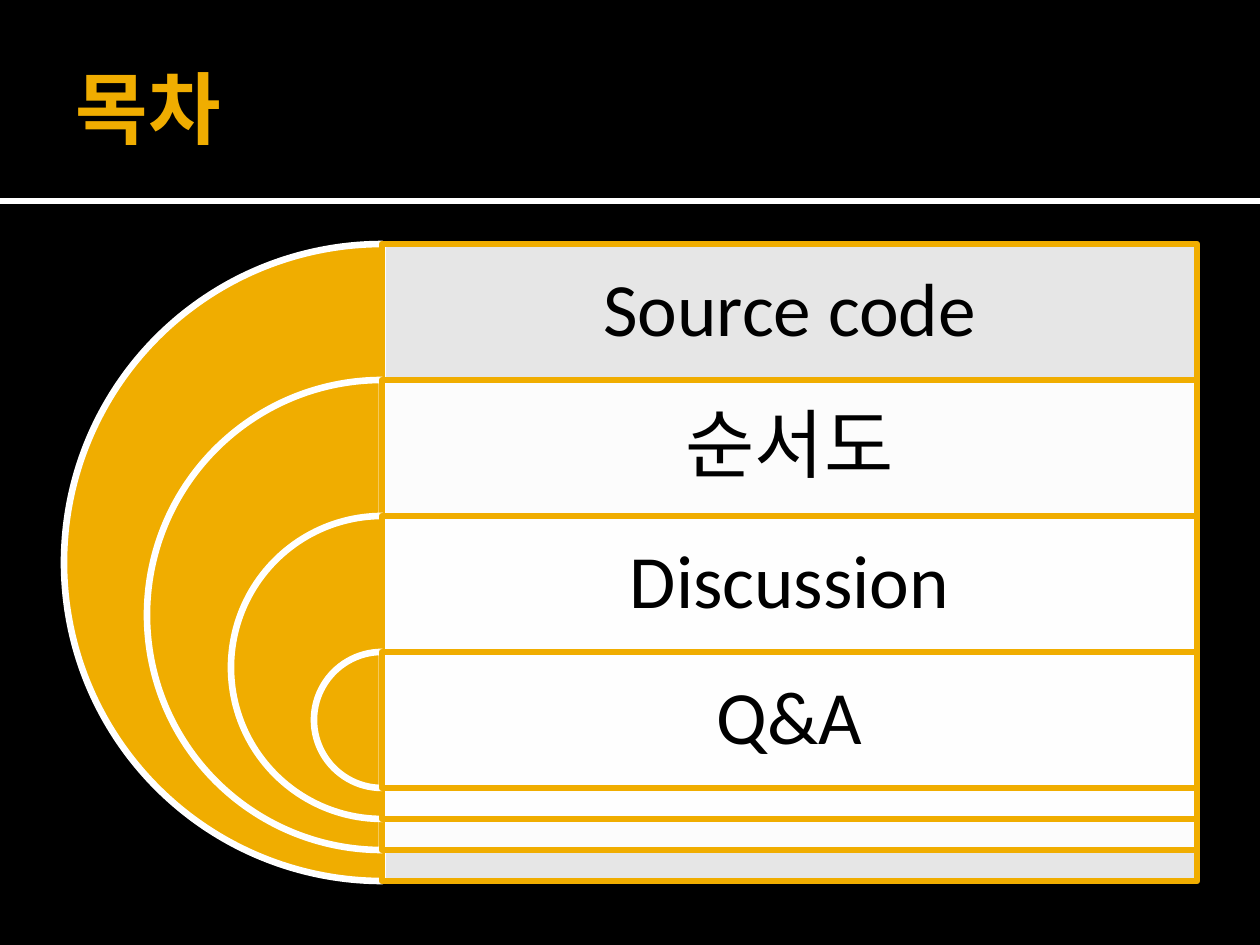
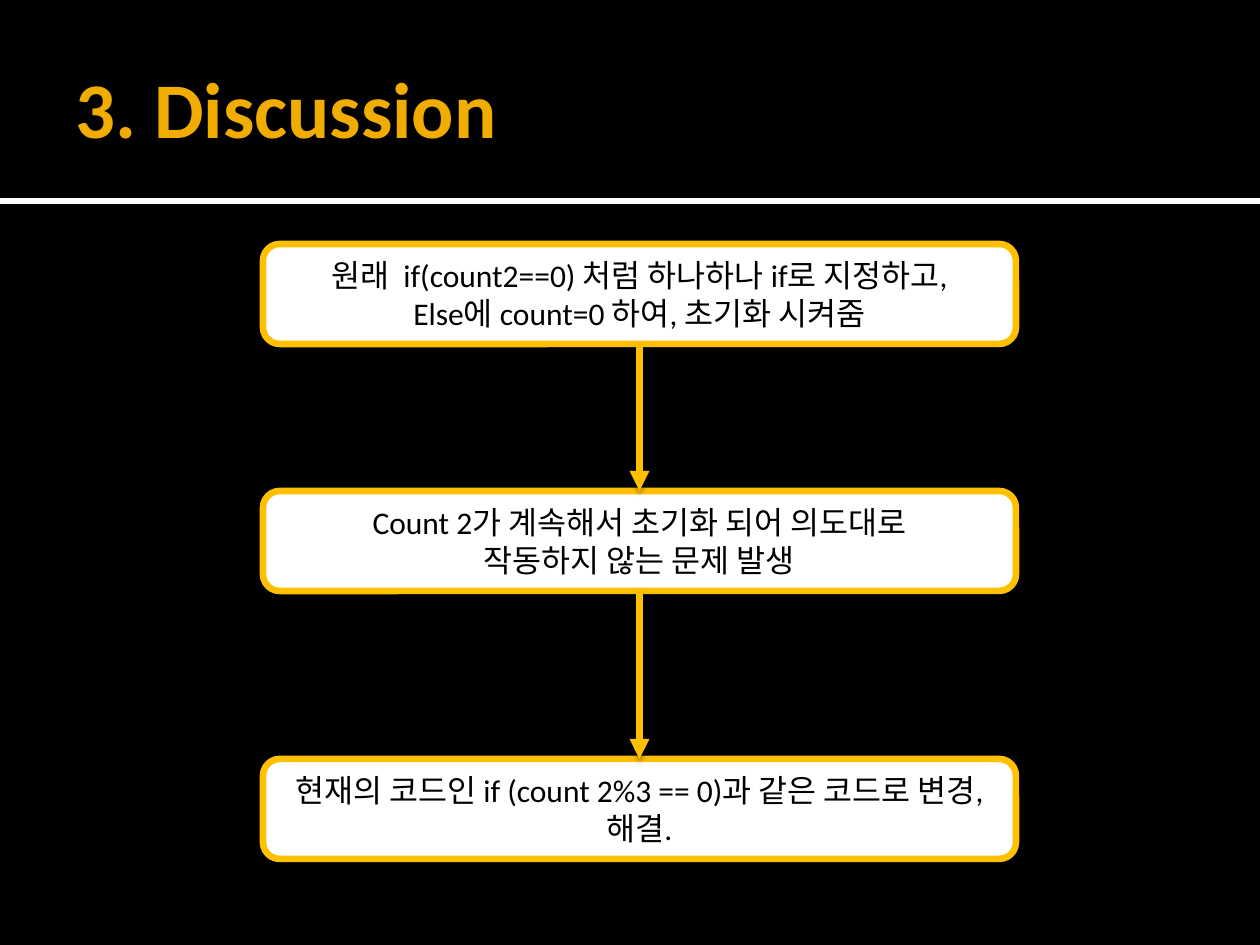
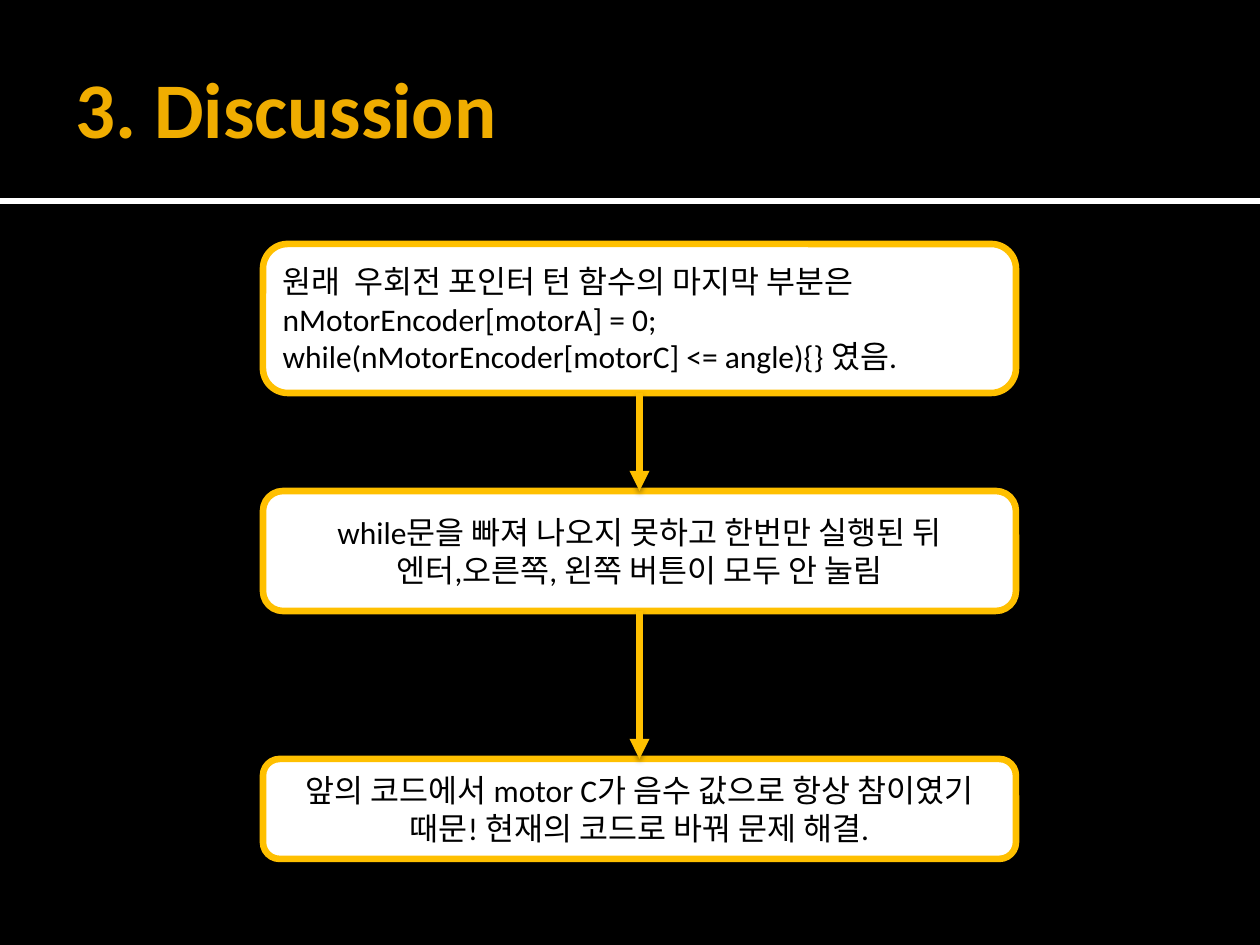
from dataclasses import dataclass

import lxml.etree
import pptx
import pptx.dml.color
import pptx.enum.shapes
import pptx.enum.text
import pptx.oxml.ns
import pptx.presentation
import pptx.shapes.autoshape
import pptx.slide
import pptx.text.text
import pptx.util

SHAPE = pptx.enum.shapes.MSO_SHAPE
ALIGN = pptx.enum.text.PP_ALIGN
TITLE_ONLY_LAYOUT = 5
PX_PER_INCH = 126


@dataclass(frozen=True)
class Theme:
    background: str = "000000"
    rule: str = "FFFFFF"
    panel: str = "FFFFFF"
    accent: str = "F0AD00"
    flow: str = "FFC000"
    ink: str = "000000"
    font: str = "Calibri"
    title_size: int = 45
    agenda_size: int = 43
    flow_size: int = 18
    outline: float = 3.78
    arrow: float = 3.82


THEME = Theme()


@dataclass(frozen=True)
class Box:
    left: int
    top: int
    width: int
    height: int

    def emu(self) -> list[pptx.util.Emu]:
        return [px(n) for n in (self.left, self.top, self.width, self.height)]


@dataclass(frozen=True)
class Step:
    top: int
    height: int
    lines: tuple[str, ...]
    alignment: ALIGN = ALIGN.CENTER


SLIDE = Box(0, 0, 1260, 945)
HEADER = Box(0, 0, 1260, 198)
HEADER_RULE = Box(0, 198, 1260, 6)
TITLE = Box(63, 21, 1134, 173)

AGENDA = ("Source code", "순서도", "Discussion", "Q&A")
AGENDA_TOP = 244
AGENDA_ROW = 136
RING_GROWTH = 167
PANEL_LEFT = 382
PANEL_WIDTH = 815
LABEL_INSET = 23

STEP_LEFT = 263
STEP_WIDTH = 753
STEP_TOPS = (244, 491, 759)

DISCUSSIONS = (
    (
        Step(STEP_TOPS[0], 100, (
            "원래  if(count2==0) 처럼 하나하나 if로 지정하고,",
            "Else에 count=0 하여, 초기화 시켜줌",
        )),
        Step(STEP_TOPS[1], 100, (
            "Count 2가 계속해서 초기화 되어 의도대로",
            "작동하지 않는 문제 발생",
        )),
        Step(STEP_TOPS[2], 100, (
            "현재의 코드인 if (count 2%3 == 0)과 같은 코드로 변경,",
            "해결.",
        )),
    ),
    (
        Step(STEP_TOPS[0], 149, (
            "원래  우회전 포인터 턴 함수의 마지막 부분은",
            "nMotorEncoder[motorA] = 0;",
            "while(nMotorEncoder[motorC] <= angle){} 였음.",
        ), ALIGN.LEFT),
        Step(STEP_TOPS[1], 120, (
            "while문을 빠져 나오지 못하고 한번만 실행된 뒤",
            "엔터,오른쪽, 왼쪽 버튼이 모두 안 눌림",
        )),
        Step(STEP_TOPS[2], 100, (
            "앞의 코드에서 motor C가 음수 값으로 항상 참이였기 때문! "
            "현재의 코드로 바꿔 문제 해결.",
        )),
    ),
)


def px(length: int) -> pptx.util.Emu:
    return pptx.util.Emu(round(length * pptx.util.Inches(1) / PX_PER_INCH))


def rgb(value: str) -> pptx.dml.color.RGBColor:
    return pptx.dml.color.RGBColor.from_string(value)


def add_child(parent: lxml.etree._Element, tag: str, **attributes: str) -> lxml.etree._Element:
    return lxml.etree.SubElement(parent, pptx.oxml.ns.qn(tag), attributes)


def add_filled_shape(
    slide: pptx.slide.Slide, kind: SHAPE, box: Box, fill: str, line: str | None = None
) -> pptx.shapes.autoshape.Shape:
    shape = slide.shapes.add_shape(kind, *box.emu())
    shape.shadow.inherit = False
    shape.fill.solid()
    shape.fill.fore_color.rgb = rgb(fill)
    if line is None:
        shape.line.fill.background()
    else:
        shape.line.color.rgb = rgb(line)
        shape.line.width = pptx.util.Pt(THEME.outline)
    return shape


def write_lines(
    frame: pptx.text.text.TextFrame, lines: tuple[str, ...], size: int, color: str,
    alignment: ALIGN, bold: bool = False, line_spacing: float = 1.0,
) -> None:
    frame.word_wrap = True
    frame.auto_size = pptx.enum.text.MSO_AUTO_SIZE.NONE
    frame.vertical_anchor = pptx.enum.text.MSO_ANCHOR.MIDDLE
    for index, line in enumerate(lines):
        paragraph = frame.add_paragraph() if index else frame.paragraphs[0]
        paragraph.alignment = alignment
        paragraph.line_spacing = line_spacing
        run = paragraph.add_run()
        run.text = line
        run.font.name = THEME.font
        run.font.size = pptx.util.Pt(size)
        run.font.bold = bold
        run.font.color.rgb = rgb(color)


def add_titled_slide(presentation: pptx.presentation.Presentation, text: str) -> pptx.slide.Slide:
    slide = presentation.slides.add_slide(presentation.slide_layouts[TITLE_ONLY_LAYOUT])
    title = slide.shapes.title
    title.left, title.top, title.width, title.height = TITLE.emu()
    write_lines(title.text_frame, (text,), THEME.title_size, THEME.accent, ALIGN.LEFT, bold=True)
    return slide


def style_master(presentation: pptx.presentation.Presentation, slide: pptx.slide.Slide) -> None:
    """Draw the header on a slide, then hand it to the master behind its placeholders."""
    master = presentation.slide_master
    master.background.fill.solid()
    master.background.fill.fore_color.rgb = rgb(THEME.background)
    first_free_id = max(shape.shape_id for shape in master.shapes) + 1
    bands = ((HEADER_RULE, THEME.rule), (HEADER, THEME.background))
    for index, (box, color) in enumerate(bands):
        element = add_filled_shape(slide, SHAPE.RECTANGLE, box, color).element
        element.nvSpPr.cNvPr.set("id", str(first_free_id + index))
        master.shapes.element.insert(2 + index, element)


def add_agenda_item(slide: pptx.slide.Slide, index: int, text: str) -> None:
    """Draw one half ring, its panel and its label; each item sits inside the last."""
    top = AGENDA_TOP + AGENDA_ROW * index
    diameter = AGENDA_ROW + RING_GROWTH * (len(AGENDA) - 1 - index)
    ring_box = Box(PANEL_LEFT - diameter // 2, top, diameter, diameter)
    ring = add_filled_shape(slide, SHAPE.PIE, ring_box, THEME.accent, THEME.rule)
    ring.adjustments[0], ring.adjustments[1] = 54, 162

    panel_box = Box(PANEL_LEFT, top, PANEL_WIDTH, diameter)
    panel = add_filled_shape(slide, SHAPE.RECTANGLE, panel_box, THEME.panel, THEME.accent)
    panel_color = panel.element.spPr.find(pptx.oxml.ns.qn("a:solidFill"))[0]
    add_child(panel_color, "a:alpha", val="90000")

    label_box = Box(PANEL_LEFT, top, PANEL_WIDTH, AGENDA_ROW)
    frame = slide.shapes.add_textbox(*label_box.emu()).text_frame
    frame.margin_left = frame.margin_right = px(LABEL_INSET)
    frame.margin_top = frame.margin_bottom = px(LABEL_INSET)
    write_lines(frame, (text,), THEME.agenda_size, THEME.ink, ALIGN.CENTER, line_spacing=0.9)


def add_step(slide: pptx.slide.Slide, step: Step) -> pptx.shapes.autoshape.Shape:
    box = Box(STEP_LEFT, step.top, STEP_WIDTH, step.height)
    shape = add_filled_shape(slide, SHAPE.ROUNDED_RECTANGLE, box, THEME.panel, THEME.flow)
    write_lines(shape.text_frame, step.lines, THEME.flow_size, THEME.ink, step.alignment)
    return shape


def add_arrow(
    slide: pptx.slide.Slide, upper: pptx.shapes.autoshape.Shape,
    lower: pptx.shapes.autoshape.Shape,
) -> None:
    """Join the bottom of one step to the top of the next, with a soft shadow below."""
    arrow = slide.shapes.add_connector(pptx.enum.shapes.MSO_CONNECTOR.STRAIGHT, 0, 0, 0, 0)
    arrow.begin_connect(upper, 2)
    arrow.end_connect(lower, 0)
    arrow.line.color.rgb = rgb(THEME.flow)
    arrow.line.width = pptx.util.Pt(THEME.arrow)
    properties = arrow.element.spPr
    add_child(properties.find(pptx.oxml.ns.qn("a:ln")), "a:tailEnd", type="triangle")
    effects = add_child(properties, "a:effectLst")
    shadow = add_child(
        effects, "a:outerShdw", blurRad=str(pptx.util.Pt(3.1)), dist=str(pptx.util.Pt(2)),
        dir="5400000", rotWithShape="0",
    )
    shadow_color = add_child(shadow, "a:srgbClr", val=THEME.background)
    add_child(shadow_color, "a:alpha", val="38000")


def main() -> None:
    presentation = pptx.Presentation()
    presentation.slide_width, presentation.slide_height = px(SLIDE.width), px(SLIDE.height)

    agenda_slide = add_titled_slide(presentation, "목차")
    style_master(presentation, agenda_slide)
    for index, text in enumerate(AGENDA):
        add_agenda_item(agenda_slide, index, text)

    for steps in DISCUSSIONS:
        slide = add_titled_slide(presentation, "3. Discussion")
        shapes = [add_step(slide, step) for step in steps]
        for upper, lower in zip(shapes, shapes[1:]):
            add_arrow(slide, upper, lower)

    presentation.save("out.pptx")


if __name__ == "__main__":
    main()
